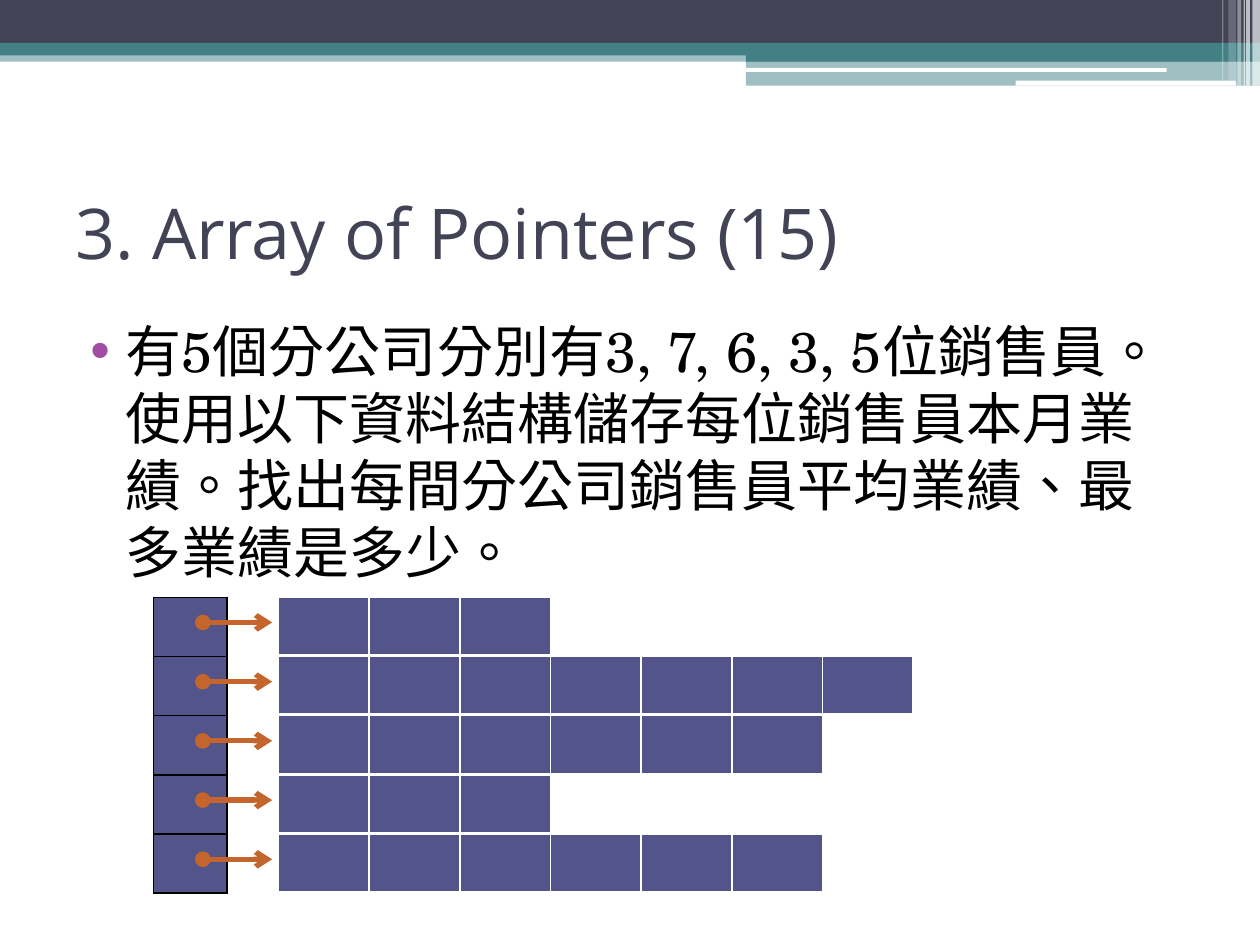
from dataclasses import dataclass

from lxml.etree import SubElement
from pptx import Presentation
from pptx.dml.color import RGBColor
from pptx.enum.lang import MSO_LANGUAGE_ID
from pptx.enum.shapes import MSO_CONNECTOR, MSO_SHAPE
from pptx.enum.text import MSO_ANCHOR
from pptx.oxml.ns import qn
from pptx.util import Inches, Pt


@dataclass(frozen=True)
class Theme:
    navy: str = "424456"
    teal: str = "438086"
    white: str = "FFFFFF"
    black: str = "000000"
    cell: str = "53548A"
    arrow: str = "C4652D"
    bullet: str = "A04DA3"
    title_font: str = "Open Sans"
    body_font: str = "TeX Gyre Schola"
    title_size: int = 40
    body_size: int = 32


THEME = Theme()
WIDTH, HEIGHT = 10, 7.5
ROW_STEP = 0.47
CELL_WIDTH = 0.72


def add_bar(page, box, color, opacity=100, shape=MSO_SHAPE.RECTANGLE):
    bar = page.shapes.add_shape(shape, *map(Inches, box))
    bar.shadow.inherit = False
    bar.line.fill.background()
    bar.fill.solid()
    bar.fill.fore_color.rgb = RGBColor.from_string(color)
    if opacity < 100:
        tint = bar.fill._xPr.find(".//" + qn("a:srgbClr"))
        SubElement(tint, qn("a:alpha"), val=str(opacity * 1000))


def add_text(page, box, text, *, font, size, color, anchor=MSO_ANCHOR.TOP,
             language=None, bullet=None, indent=0, hanging=0, before=0):
    frame = page.shapes.add_textbox(*map(Inches, box)).text_frame
    frame.word_wrap = True
    frame.vertical_anchor = anchor
    para = frame.paragraphs[0]
    para.space_before = Pt(before)
    span = para.add_run()
    span.text = text
    span.font.name = font
    span.font.size = Pt(size)
    span.font.color.rgb = RGBColor.from_string(color)
    if language:
        span.font.language_id = language
    if bullet:
        settings = para._p.get_or_add_pPr()
        settings.set("marL", str(Inches(indent)))
        settings.set("indent", str(Inches(-hanging)))
        tint = SubElement(settings, qn("a:buClr"))
        SubElement(tint, qn("a:srgbClr"), val=bullet)
        SubElement(settings, qn("a:buFont"), typeface="Arial")
        SubElement(settings, qn("a:buChar"), char="•")


def set_borders(cell, color, widths):
    settings = cell._tc.get_or_add_tcPr()
    for position, (side, width) in enumerate(widths.items()):
        line = settings.makeelement(qn(f"a:ln{side}"), {"w": str(Pt(width))})
        fill = SubElement(line, qn("a:solidFill"))
        SubElement(fill, qn("a:srgbClr"), val=color)
        settings.insert(position, line)


def add_cells(page, left, top, rows, columns, cell_width, border, bottom):
    """Place a grid of empty filled cells."""
    table = page.shapes.add_table(
        rows, columns, Inches(left), Inches(top),
        Inches(cell_width * columns), Inches(ROW_STEP * rows)).table
    table.first_row = table.horz_banding = False
    for cell in table.iter_cells():
        cell.fill.solid()
        cell.fill.fore_color.rgb = RGBColor.from_string(THEME.cell)
        set_borders(cell, border, {"L": 1, "R": 1, "T": 1, "B": bottom})


def add_arrow(page, left, top, length):
    arrow = page.shapes.add_connector(
        MSO_CONNECTOR.STRAIGHT, Inches(left), Inches(top),
        Inches(left + length), Inches(top))
    arrow.line.color.rgb = RGBColor.from_string(THEME.arrow)
    arrow.line.width = Pt(3)
    line = arrow.line._get_or_add_ln()
    SubElement(line, qn("a:headEnd"), type="oval")
    SubElement(line, qn("a:tailEnd"), type="arrow")
    SubElement(arrow._element.spPr, qn("a:effectLst"))


def build_banner(page, left, top, width):
    right = left + width
    split = left + 0.592 * width
    # Layered bands
    add_bar(page, (left, top + 0.4, width, 0.09), THEME.teal, 50)
    add_bar(page, (left, top, width, 0.34), THEME.navy)
    add_bar(page, (left, top + 0.34, width, 0.1), THEME.teal)
    add_bar(page, (split, top + 0.39, right - split, 0.1), THEME.teal)
    add_bar(page, (split, top + 0.48, right - split, 0.2), THEME.teal, 50)
    # White slits
    for x, y, length, thickness in ((5.91, 0.54, 3.35, 0.03),
                                    (8.06, 0.64, 1.75, 0.04)):
        add_bar(page, (left + x, top + y, length, thickness), THEME.white,
                shape=MSO_SHAPE.ROUNDED_RECTANGLE)
    # Translucent stripes, measured from the right edge
    for offset, stripe, height, opacity in (
            (0.06, 0.06, 0.68, 65), (0.11, 0.03, 0.68, 65),
            (0.13, 0.01, 0.68, 60), (0.18, 0.03, 0.68, 40),
            (0.25, 0.06, 0.64, 20), (0.3, 0.01, 0.64, 30)):
        add_bar(page, (right - offset, top, stripe, height),
                THEME.white, opacity)


def build_text(page, left, top, width):
    add_text(page, (left, top, width, 1.17), "3. Array of Pointers (15)",
             font=THEME.title_font, size=THEME.title_size,
             color=THEME.navy, anchor=MSO_ANCHOR.MIDDLE)
    add_text(page, (left, top + 1.21, width, 4.73),
             "有5個分公司分別有3, 7, 6, 3, 5位銷售員。使用以下資料結構儲存每位銷售員"
             "本月業績。找出每間分公司銷售員平均業績、最多業績是多少。",
             font=THEME.body_font, size=THEME.body_size, color=THEME.black,
             language=MSO_LANGUAGE_ID.TRADITIONAL_CHINESE,
             bullet=THEME.bullet, indent=0.4, hanging=0.28, before=3)


def build_pointer_diagram(page, left, top, sizes):
    # Pointer column
    add_cells(page, left, top, len(sizes), 1, 0.58, THEME.black, 1)
    # One arrow and one array for each pointer
    for row, size in enumerate(sizes):
        y = top + row * ROW_STEP
        add_arrow(page, left + 0.39, y + 0.2, 0.55)
        add_cells(page, left + 0.99, y, 1, size, CELL_WIDTH, THEME.white, 3)


def main():
    deck = Presentation()
    deck.slide_width, deck.slide_height = Inches(WIDTH), Inches(HEIGHT)
    page = deck.slides.add_slide(deck.slide_layouts[6])
    build_banner(page, 0, 0, WIDTH)
    build_text(page, 0.05 * WIDTH, HEIGHT / 6, 0.9 * WIDTH)
    build_pointer_diagram(page, 1.22, 4.74, (3, 7, 6, 3, 6))
    deck.save("out.pptx")


if __name__ == "__main__":
    main()
